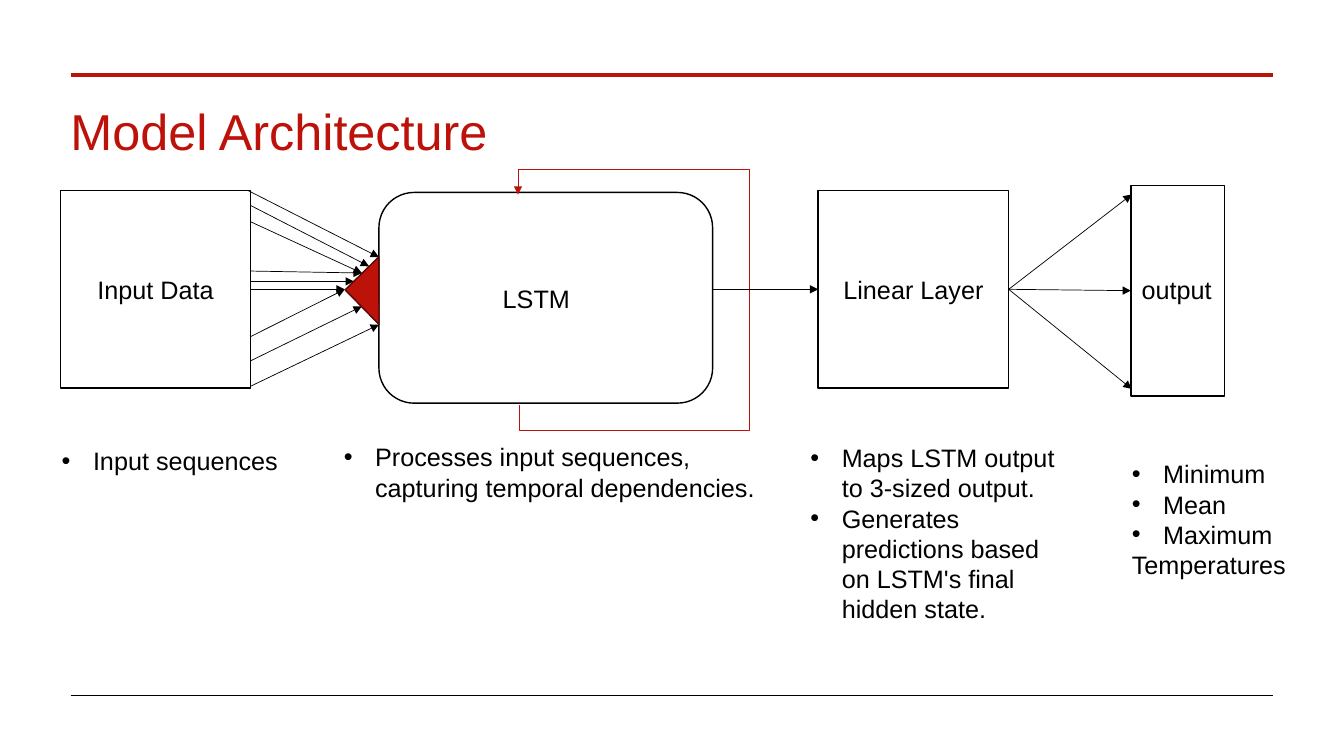
from lxml.etree import SubElement
from pptx import Presentation
from pptx.dml.color import RGBColor
from pptx.enum.shapes import MSO_CONNECTOR, MSO_SHAPE
from pptx.enum.text import MSO_ANCHOR, MSO_AUTO_SIZE, PP_ALIGN
from pptx.oxml.ns import qn
from pptx.util import Cm, Pt

RED = RGBColor(0xBD, 0x12, 0x09)
DARK_RED = RGBColor(0x53, 0x08, 0x04)
BLACK = RGBColor(0x00, 0x00, 0x00)
WHITE = RGBColor(0xFF, 0xFF, 0xFF)
FONT = "Arial"
TOP, LEFT, BOTTOM, RIGHT = range(4)

# Arrows from the input data into the LSTM: start x, start y, end x, end y in cm
INPUT_ARROWS = [
    (6.25, 4.8, 9.55, 6.48),
    (6.32, 5.18, 9.3, 6.71),
    (6.32, 5.59, 9.12, 6.88),
    (6.32, 6.83, 9.12, 6.88),
    (6.32, 7.09, 8.92, 7.09),
    (6.32, 8.48, 8.69, 7.29),
    (6.32, 9.09, 9.12, 7.72),
    (6.32, 9.73, 9.55, 8.18),
]

# Notes under each stage: box in cm, bulleted lines, closing plain line
STAGE_NOTES = [
    ((1.3, 11.1, 7.11, 1.02), ["Input sequences"], None),
    ((8.41, 11, 11.96, 2.57),
     ["Processes input sequences, capturing temporal dependencies."], None),
    ((20.17, 11.02, 7.11, 5.64),
     ["Maps LSTM output to 3-sized output.",
      "Generates predictions based on LSTM's final hidden state."], None),
    ((28.27, 11.43, 5.59, 3.33), ["Minimum", "Mean", "Maximum"], "Temperatures"),
]


def add_run(paragraph, text, size=18, color=BLACK):
    run = paragraph.add_run()
    run.text = text
    run.font.name = FONT
    run.font.size = Pt(size)
    run.font.bold = False
    run.font.color.rgb = color


def place(placeholder, box):
    placeholder.left, placeholder.top, placeholder.width, placeholder.height = map(Cm, box)
    frame = placeholder.text_frame
    frame.auto_size = MSO_AUTO_SIZE.NONE
    frame.vertical_anchor = MSO_ANCHOR.TOP
    return frame


def add_title(placeholder, text):
    heading = place(placeholder, (1.52, 2.64, 30.53, 3)).paragraphs[0]
    heading.alignment = PP_ALIGN.LEFT
    heading.line_spacing = 0.85
    add_run(heading, text, 36, RED)


def add_note_line(paragraph, text, bulleted):
    paragraph.alignment = PP_ALIGN.LEFT
    paragraph.line_spacing = 1.0
    paragraph.space_before = Pt(0)
    properties = paragraph.runs and None
    add_run(paragraph, text)
    properties = paragraph._p.get_or_add_pPr()
    hang = Cm(0.79) if bulleted else 0
    properties.set("marL", str(hang))
    properties.set("indent", str(-hang))
    if bulleted:
        SubElement(properties, qn("a:buFont"), typeface=FONT)
        SubElement(properties, qn("a:buChar"), char="•")
    else:
        SubElement(properties, qn("a:buNone"))


def add_notes(placeholder, box, bullets, closing):
    frame = place(placeholder, box)
    lines = [(text, True) for text in bullets]
    if closing:
        lines.append((closing, False))
    for number, (text, bulleted) in enumerate(lines):
        paragraph = frame.add_paragraph() if number else frame.paragraphs[0]
        add_note_line(paragraph, text, bulleted)


def add_block(slide, preset, box, text="", fill=WHITE, outline=BLACK):
    block = slide.shapes.add_shape(preset, *map(Cm, box))
    block.shadow.inherit = False
    block.fill.solid()
    block.fill.fore_color.rgb = fill
    block.line.color.rgb = outline
    block.line.width = Pt(1)
    if text:
        block.text_frame.vertical_anchor = MSO_ANCHOR.MIDDLE
        caption = block.text_frame.paragraphs[0]
        caption.alignment = PP_ALIGN.CENTER
        add_run(caption, text)
    return block


def add_label(slide, box, text):
    label = slide.shapes.add_textbox(*map(Cm, box))
    label.text_frame.word_wrap = True
    add_run(label.text_frame.paragraphs[0], text)


def add_line(slide, ends, color=BLACK, width=0.5, arrow=False, kind=MSO_CONNECTOR.STRAIGHT):
    line = slide.shapes.add_connector(kind, *map(Cm, ends))
    line.line.color.rgb = color
    line.line.width = Pt(width)
    if arrow:
        SubElement(line.line._get_or_add_ln(), qn("a:tailEnd"), type="triangle")
    SubElement(line._element.spPr, qn("a:effectLst"))
    return line


def add_feedback_loop(slide):
    """Runs from below the LSTM, around its right side, to its top edge."""
    loop = add_line(slide, (10.42, 7.54, 15.73, 7.58), RED, arrow=True,
                    kind=MSO_CONNECTOR.ELBOW)
    properties = loop._element.spPr
    properties.xfrm.set("rot", str(90 * 60000))
    properties.xfrm.set("flipH", "1")
    route = properties.find(qn("a:prstGeom"))
    route.set("prst", "bentConnector5")
    adjustments = route.find(qn("a:avLst"))
    for number, value in enumerate((-12000, -14450000, 112000), start=1):
        SubElement(adjustments, qn("a:gd"), name=f"adj{number}", fmla=f"val {value}")


def main():
    presentation = Presentation()
    presentation.slide_width = Cm(33.87)
    presentation.slide_height = Cm(19.05)
    comparison_layout = presentation.slide_layouts[4]
    slide = presentation.slides.add_slide(comparison_layout)

    # Rules and title
    add_line(slide, (1.78, 1.88, 32.08, 1.88), RED, 3)
    add_line(slide, (1.78, 17.53, 32.08, 17.53))
    add_title(slide.shapes.title, "Model Architecture")

    # Input data and its arrows
    input_data = add_block(slide, MSO_SHAPE.RECTANGLE, (1.52, 4.8, 4.8, 4.98), "Input Data")
    for ends in INPUT_ARROWS:
        add_line(slide, ends, arrow=True)
    middle_arrow = add_line(slide, (6.32, 7.29, 8.69, 7.29), arrow=True)
    middle_arrow.begin_connect(input_data, RIGHT)

    # LSTM with its entry and feedback loop
    add_block(slide, MSO_SHAPE.ROUNDED_RECTANGLE, (9.55, 4.85, 8.41, 5.31))
    add_label(slide, (12.42, 7.01, 5.33, 1.02), "LSTM")
    entry = add_block(slide, MSO_SHAPE.RIGHT_TRIANGLE, (8.94, 6.73, 1.22, 1.19),
                      fill=RED, outline=DARK_RED)
    entry.rotation = 45.6
    add_feedback_loop(slide)

    # Linear layer and output
    linear_layer = add_block(slide, MSO_SHAPE.RECTANGLE, (20.62, 4.8, 4.8, 4.98), "Linear Layer")
    to_linear = add_line(slide, (17.96, 7.29, 20.62, 7.29), arrow=True)
    to_linear.end_connect(linear_layer, LEFT)
    output = add_block(slide, MSO_SHAPE.RECTANGLE, (28.5, 4.67, 2.36, 5.31))
    for end_y in (4.9, 7.32, 9.8):
        to_output = add_line(slide, (25.42, 7.29, 28.52, end_y), arrow=True)
        to_output.begin_connect(linear_layer, RIGHT)
        if end_y == 7.32:
            to_output.end_connect(output, LEFT)
    add_label(slide, (28.52, 6.78, 2.36, 1.02), "output")

    # Notes under the stages
    for number, (box, bullets, closing) in enumerate(STAGE_NOTES, start=1):
        add_notes(slide.placeholders[number], box, bullets, closing)

    presentation.save("out.pptx")


if __name__ == "__main__":
    main()
